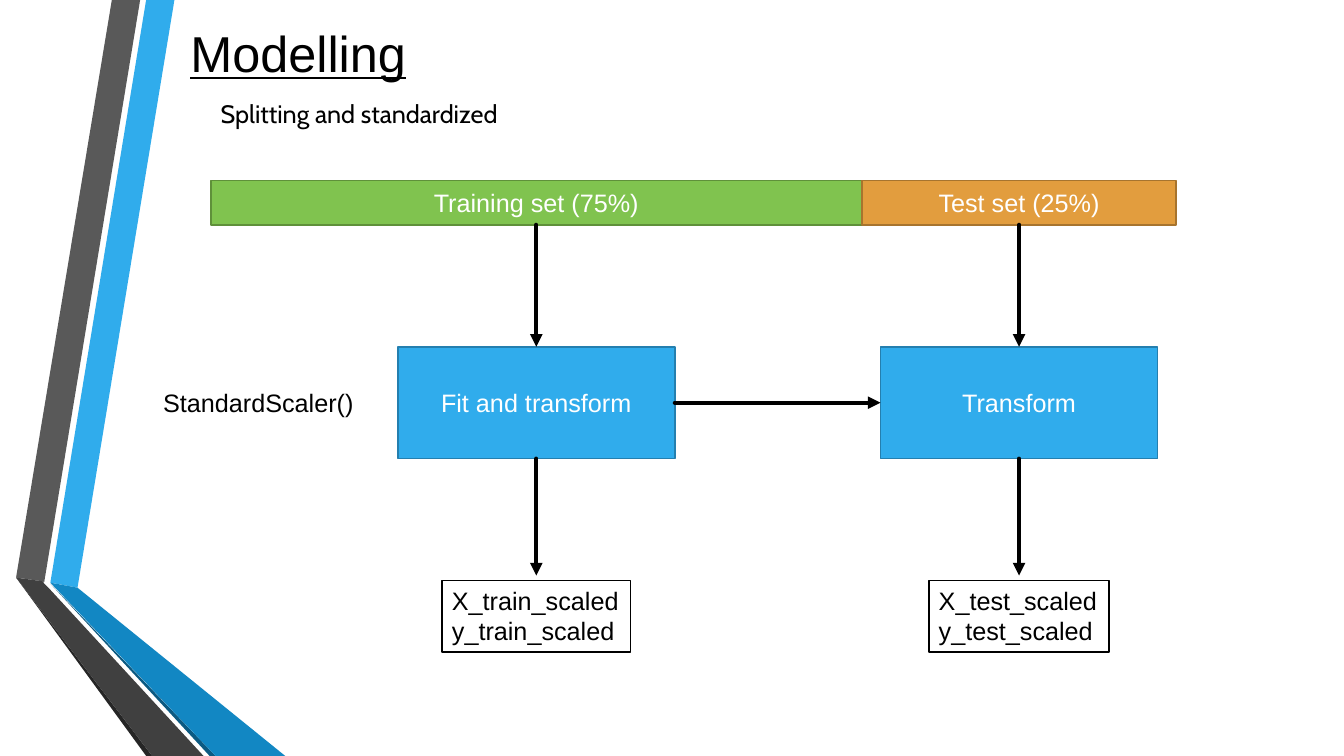
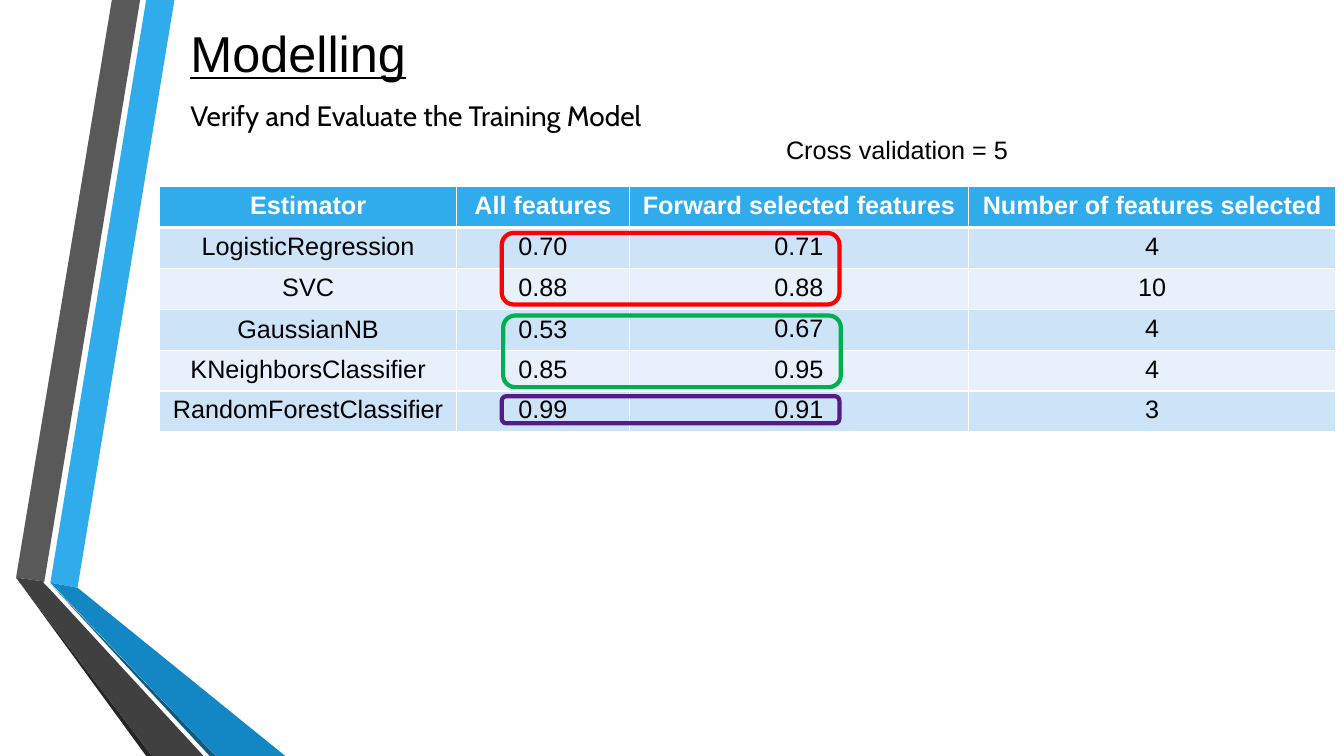
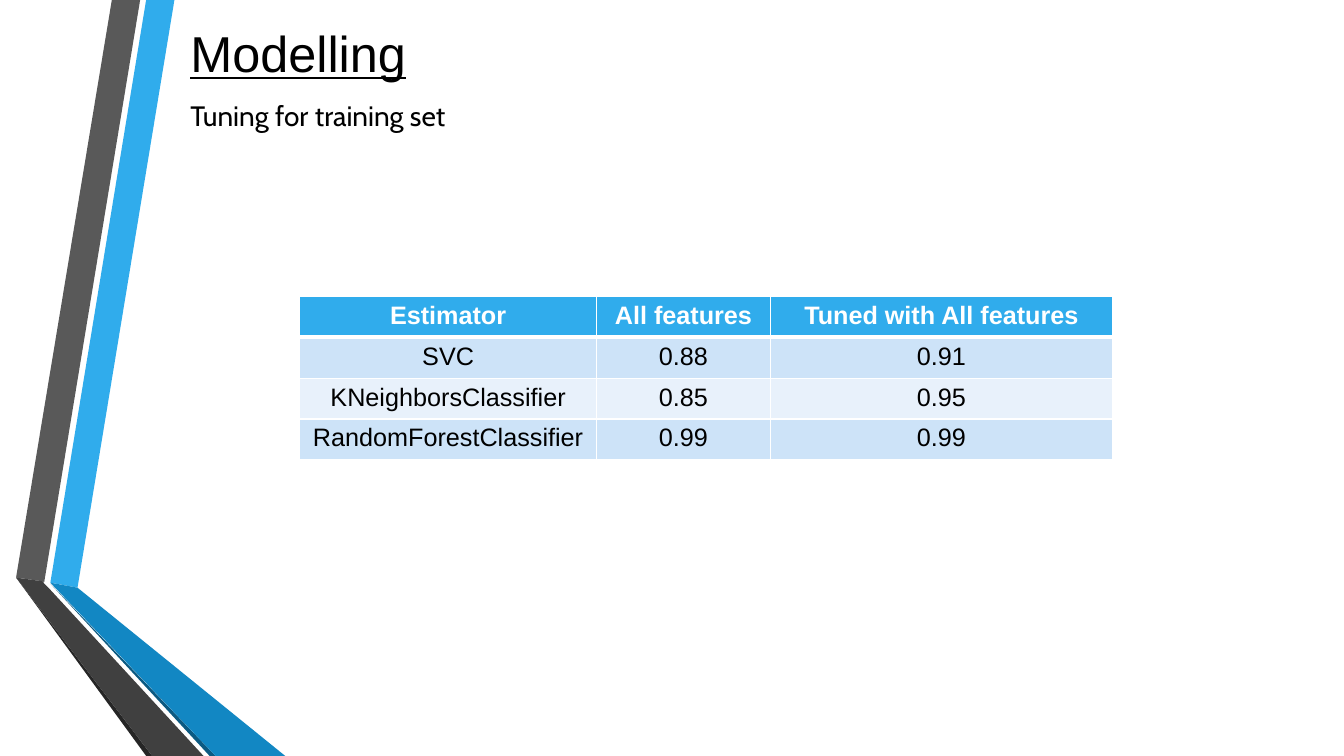
from dataclasses import dataclass
from typing import Optional

from lxml.etree import SubElement
from pptx import Presentation
from pptx.dml.color import RGBColor
from pptx.enum.shapes import MSO_CONNECTOR, MSO_SHAPE
from pptx.enum.text import MSO_ANCHOR, MSO_AUTO_SIZE, PP_ALIGN
from pptx.oxml.ns import qn
from pptx.util import Pt

# Shared style
COLORS = {
    "black": "000000", "white": "FFFFFF",
    "blue": "30ACEC", "blue_edge": "247FAF", "blue_fold": "1287C3", "blue_shade": "0C5A82",
    "gray": "595959", "gray_fold": "404040", "gray_shade": "262626",
    "green": "80C34F", "green_edge": "5F903A",
    "orange": "E29D3E", "orange_edge": "A7742E",
    "band_dark": "CDE3F8", "band_light": "E8F1FB",
    "red_frame": "FF0000", "green_frame": "00B050", "purple_frame": "541B89",
}
BODY_FONT = "Arial"
SUBTITLE_FONT = "Cabin"
BODY_SIZE = 18
EDGE_WIDTH = 1.25
HEAVY_WIDTH = 3
TITLE_LEFT = 128.9
ROW_HEIGHT = 29.2

# Ribbon on the left edge: colour and outline of each face
RIBBON = [
    ("blue", [(36, 416.2), (55.4, 419.8), (124.6, 0), (104.4, 0)]),
    ("gray", [(100.1, 0), (79.9, 0), (11.5, 412.6), (31.7, 415.4)]),
    ("gray_shade", [(11.5, 412.6), (104.4, 540), (108.7, 540)]),
    ("blue_shade", [(36, 416.9), (149.8, 540), (154.1, 540)]),
    ("blue_fold", [(36, 416.2), (154.1, 540), (203.8, 540), (55.4, 419.8)]),
    ("gray_fold", [(145.4, 540), (34.6, 419.8), (31, 416.2), (31.7, 415.4),
                   (11.5, 412.6), (108.7, 540)]),
]


@dataclass(frozen=True)
class Box:
    left: float
    top: float
    width: float
    height: float

    @property
    def center(self) -> float:
        return self.left + self.width / 2

    @property
    def bottom(self) -> float:
        return self.top + self.height

    def lengths(self) -> tuple:
        return Pt(self.left), Pt(self.top), Pt(self.width), Pt(self.height)


@dataclass(frozen=True)
class TextStyle:
    size: float = BODY_SIZE
    color: str = "black"
    font: str = BODY_FONT
    bold: bool = False
    underline: bool = False


@dataclass(frozen=True)
class Flow:
    """One column of the diagram: data set, step and results."""
    data_set: str
    data_box: Box
    color: str
    step: str
    results: list
    result_width: float


@dataclass(frozen=True)
class Frame:
    box: Box
    color: str


TITLE = TextStyle(size=36, underline=True)
BODY = TextStyle()
ON_COLOR = TextStyle(color="white")
TABLE_HEADER = TextStyle(color="white", bold=True)


def rgb(name: str) -> RGBColor:
    return RGBColor.from_string(COLORS[name])


def add_run(paragraph, text: str, style: TextStyle) -> None:
    run = paragraph.add_run()
    run.text = text
    run.font.size = Pt(style.size)
    run.font.name = style.font
    run.font.bold = style.bold
    run.font.underline = style.underline
    run.font.color.rgb = rgb(style.color)


def add_text(slide, box: Box, lines: list, style: TextStyle = BODY, wrap: bool = False):
    shape = slide.shapes.add_textbox(*box.lengths())
    frame = shape.text_frame
    frame.word_wrap = wrap
    frame.auto_size = MSO_AUTO_SIZE.SHAPE_TO_FIT_TEXT
    for index, line in enumerate(lines):
        paragraph = frame.add_paragraph() if index else frame.paragraphs[0]
        add_run(paragraph, line, style)
    return shape


def paint(shape, fill: Optional[str], edge: Optional[str], width: float = EDGE_WIDTH) -> None:
    if fill:
        shape.fill.solid()
        shape.fill.fore_color.rgb = rgb(fill)
    else:
        shape.fill.background()
    if edge:
        shape.line.color.rgb = rgb(edge)
        shape.line.width = Pt(width)
    else:
        shape.line.fill.background()


def add_block(slide, box: Box, text: str, color: str) -> None:
    shape = slide.shapes.add_shape(MSO_SHAPE.RECTANGLE, *box.lengths())
    shape.shadow.inherit = False
    paint(shape, color, f"{color}_edge")
    shape.text_frame.word_wrap = True
    shape.text_frame.vertical_anchor = MSO_ANCHOR.MIDDLE
    paragraph = shape.text_frame.paragraphs[0]
    paragraph.alignment = PP_ALIGN.CENTER
    add_run(paragraph, text, ON_COLOR)


def add_arrow(slide, start: tuple, end: tuple) -> None:
    points = [Pt(value) for value in (*start, *end)]
    connector = slide.shapes.add_connector(MSO_CONNECTOR.STRAIGHT, *points)
    connector.line.color.rgb = rgb("black")
    connector.line.width = Pt(HEAVY_WIDTH)
    properties = connector.line._get_or_add_ln()
    properties.set("cap", "rnd")
    SubElement(properties, qn("a:tailEnd"), type="triangle")
    SubElement(connector._element.spPr, qn("a:effectLst"))


def add_frame(slide, frame: Frame) -> None:
    shape = slide.shapes.add_shape(MSO_SHAPE.ROUNDED_RECTANGLE, *frame.box.lengths())
    shape.shadow.inherit = False
    paint(shape, None, frame.color, HEAVY_WIDTH)


def add_ribbon(slide) -> None:
    for color, outline in RIBBON:
        points = [(Pt(x), Pt(y)) for x, y in outline]
        builder = slide.shapes.build_freeform(*points[0], scale=1.0)
        builder.add_line_segments(points[1:], close=True)
        shape = builder.convert_to_shape()
        shape.shadow.inherit = False
        paint(shape, color, None)


def add_base_slide(presentation, subtitle: str, box: Box, size: float):
    slide = presentation.slides.add_slide(presentation.slide_layouts[6])
    add_ribbon(slide)
    add_text(slide, Box(TITLE_LEFT, 12.2, 169.9, 51.1), ["Modelling"], TITLE)
    add_text(slide, box, [subtitle], TextStyle(size=size, font=SUBTITLE_FONT), wrap=True)
    return slide


def set_borders(cell, widths: dict) -> None:
    properties = cell._tc.get_or_add_tcPr()
    for side, width in widths.items():
        line = SubElement(properties, qn(f"a:ln{side}"), w=str(Pt(width)))
        fill = SubElement(line, qn("a:solidFill"))
        SubElement(fill, qn("a:srgbClr"), val=COLORS["white"])


def add_score_table(slide, left: float, top: float, widths: list, rows: list):
    box = Box(left, top, sum(widths), ROW_HEIGHT * len(rows))
    table = slide.shapes.add_table(len(rows), len(widths), *box.lengths()).table
    table.horz_banding = False
    for column, width in zip(table.columns, widths):
        column.width = Pt(width)
    for row_index, values in enumerate(rows):
        table.rows[row_index].height = Pt(ROW_HEIGHT)
        is_header = row_index == 0
        band = "band_dark" if row_index % 2 else "band_light"
        for column_index, value in enumerate(values):
            cell = table.cell(row_index, column_index)
            set_borders(cell, {"L": 1, "R": 1,
                               "T": HEAVY_WIDTH if row_index == 1 else 1,
                               "B": HEAVY_WIDTH if is_header else 1})
            cell.fill.solid()
            cell.fill.fore_color.rgb = rgb("blue" if is_header else band)
            paragraph = cell.text_frame.paragraphs[0]
            paragraph.alignment = PP_ALIGN.CENTER
            add_run(paragraph, value, TABLE_HEADER if is_header else BODY)
    return table


# Slide 1: splitting and scaling
def build_splitting(presentation) -> None:
    slide = add_base_slide(presentation, "Splitting and standardized",
                           Box(150.5, 67, 480.2, 28.8), 18)
    flows = [
        Flow("Training set (75%)", Box(150.5, 128.9, 465.1, 31.7), "green",
             "Fit and transform", ["X_train_scaled", "y_train_scaled"], 134.6),
        Flow("Test set (25%)", Box(615.6, 128.9, 224.6, 31.7), "orange",
             "Transform", ["X_test_scaled", "y_test_scaled"], 128.9),
    ]
    step_width, step_top, step_height = 198, 247.7, 79.9
    result_top, arrow_end = 414.7, 411.1
    for flow in flows:
        center = flow.data_box.center
        step_box = Box(center - step_width / 2, step_top, step_width, step_height)
        add_block(slide, flow.data_box, flow.data_set, flow.color)
        add_block(slide, step_box, flow.step, "blue")
        add_arrow(slide, (center, flow.data_box.bottom), (center, step_top))
        add_arrow(slide, (center, step_box.bottom), (center, arrow_end))
        result_box = Box(center - flow.result_width / 2, result_top, flow.result_width, 51.1)
        paint(add_text(slide, result_box, flow.results), "white", "black")
    train_center, test_center = (flow.data_box.center for flow in flows)
    middle = step_top + step_height / 2
    add_arrow(slide, (train_center + step_width / 2, middle),
              (test_center - step_width / 2, middle))
    add_text(slide, Box(109.4, 272.9, 151.9, 28.8), ["StandardScaler()"])


# Slide 2: cross validation scores
def build_evaluation(presentation) -> None:
    slide = add_base_slide(presentation, "Verify and Evaluate the Training Model",
                           Box(TITLE_LEFT, 67, 350.6, 31.7), 20)
    table = add_score_table(slide, 113.9, 133.3, [212.4, 123.1, 242.6, 262.1], [
        ["Estimator", "All features", "Forward selected features", "Number of features selected"],
        ["LogisticRegression", "0.70", "0.71", "4"],
        ["SVC", "0.88", "0.88", "10"],
        ["GaussianNB", "0.53", "0.67", "4"],
        ["KNeighborsClassifier", "0.85", "0.95", "4"],
        ["RandomForestClassifier", "0.99", "0.91", "3"],
    ])
    for column_index in (0, 1):
        table.cell(3, column_index).vertical_anchor = MSO_ANCHOR.MIDDLE
    add_text(slide, Box(554.4, 92.2, 174.2, 28.8), ["Cross validation = 5"])
    for frame in (
        Frame(Box(358.4, 166.4, 241.2, 51.1), "red_frame"),
        Frame(Box(359.4, 225.4, 241.2, 51.1), "green_frame"),
        Frame(Box(358.4, 283, 241.2, 19.4), "purple_frame"),
    ):
        add_frame(slide, frame)


# Slide 3: tuned scores
def build_tuning(presentation) -> None:
    slide = add_base_slide(presentation, "Tuning for training set",
                           Box(TITLE_LEFT, 67, 350.6, 31.7), 20)
    add_score_table(slide, 213.9, 211.7, [212.4, 123.8, 244.8], [
        ["Estimator", "All features", "Tuned with All features"],
        ["SVC", "0.88", "0.91"],
        ["KNeighborsClassifier", "0.85", "0.95"],
        ["RandomForestClassifier", "0.99", "0.99"],
    ])


def main() -> None:
    presentation = Presentation()
    presentation.slide_width = Pt(960)
    presentation.slide_height = Pt(540)
    build_splitting(presentation)
    build_evaluation(presentation)
    build_tuning(presentation)
    presentation.save("out.pptx")


if __name__ == "__main__":
    main()
